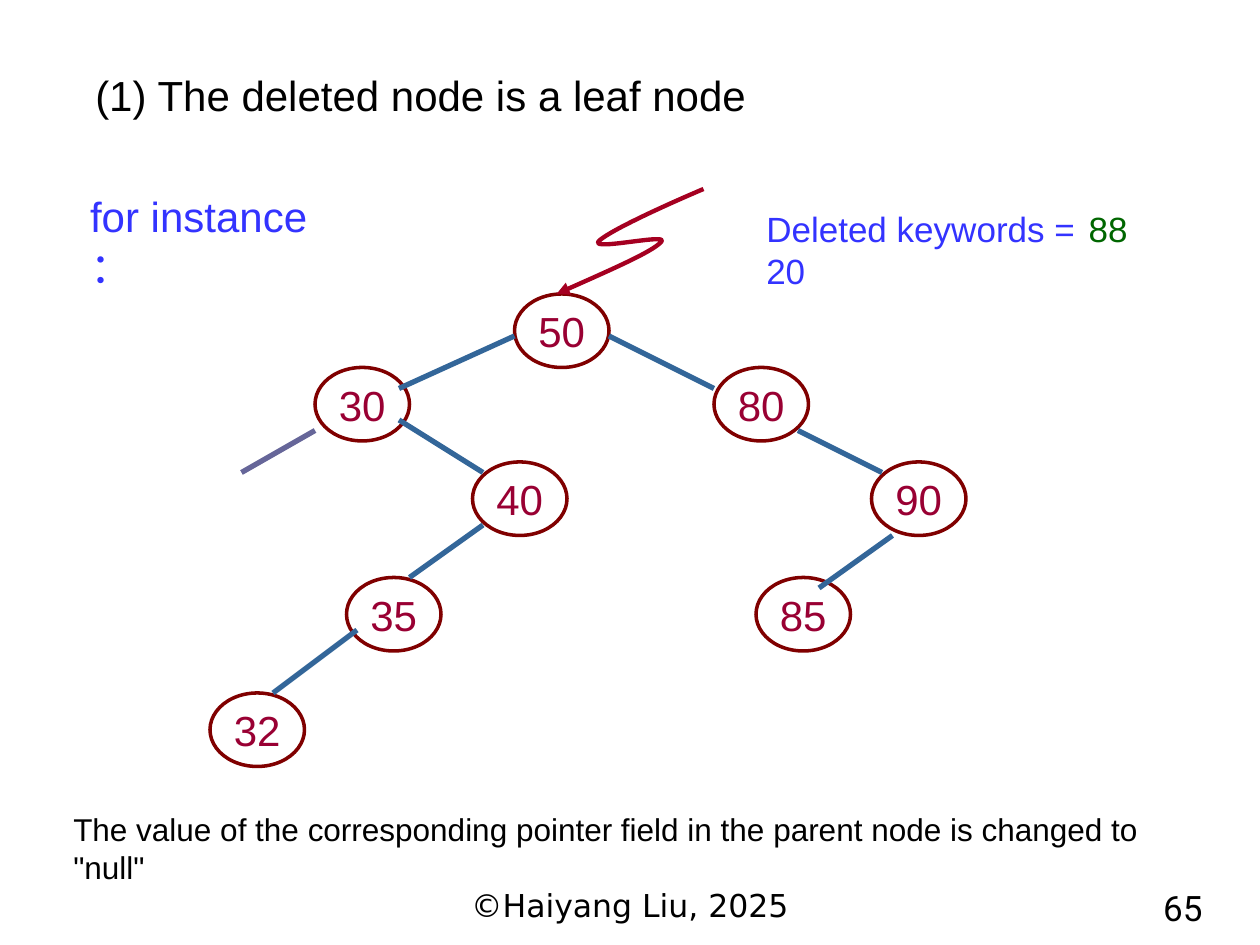
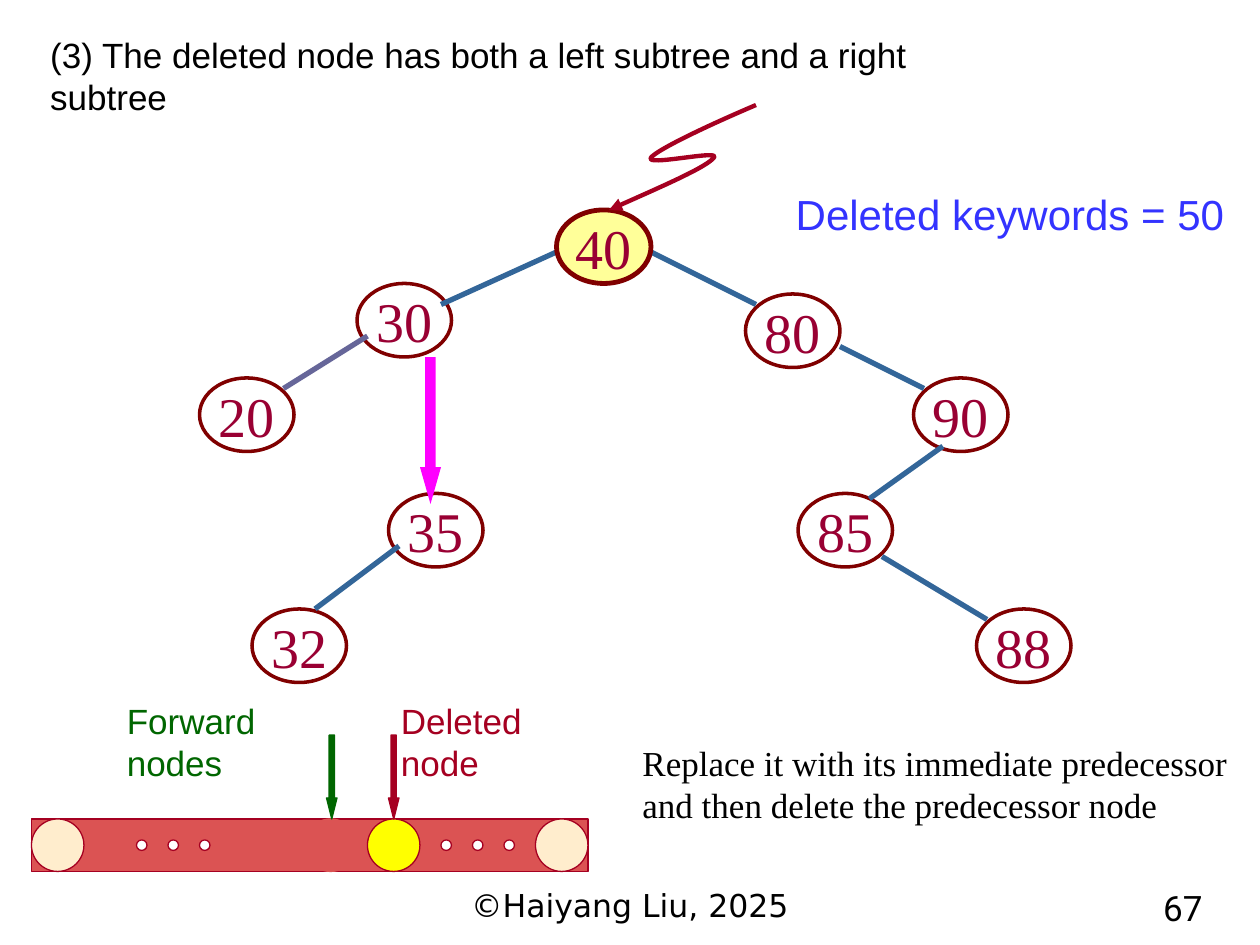
from lxml import etree
from pptx import Presentation
from pptx.dml.color import RGBColor
from pptx.enum.shapes import MSO_CONNECTOR, MSO_SHAPE
from pptx.enum.text import MSO_ANCHOR, PP_ALIGN
from pptx.oxml.ns import qn
from pptx.util import Pt

SCALE = 914400 // 120
OVAL, RECT, DOWN = MSO_SHAPE.OVAL, MSO_SHAPE.RECTANGLE, MSO_SHAPE.DOWN_ARROW
LINE = MSO_CONNECTOR.STRAIGHT
LEFT, MID, RIGHT = PP_ALIGN.LEFT, PP_ALIGN.CENTER, PP_ALIGN.RIGHT
TOP, HALF = MSO_ANCHOR.TOP, MSO_ANCHOR.MIDDLE

INK = {
    "black": "000000", "white": "FFFFFF", "blue": "3333FF", "green": "006600",
    "red": "A50021", "rim": "800000", "key": "990033", "edge": "336699",
    "dull": "666699", "pale": "FFFF99", "bar": "DB5353", "cream": "FFEDCD",
    "yellow": "FFFF00", "pink": "FF00FF",
}
SANS, SERIF = "Arial", "Times New Roman"
NODE = (90, 70)


def px(*nums):
    return [num * SCALE for num in nums]


def tint(name):
    return RGBColor.from_string(INK[name])


def write(shape, text, size=20, font=SANS, ink="black", align=LEFT,
          anchor=TOP, wrap=True):
    frame = shape.text_frame
    frame.word_wrap = wrap
    frame.vertical_anchor = anchor
    para = frame.paragraphs[0]
    para.alignment = align
    run = para.add_run()
    run.text = text
    run.font.size = Pt(size)
    run.font.name = font
    run.font.color.rgb = tint(ink)


def label(slide, box, text, **form):
    write(slide.shapes.add_textbox(*px(*box)), text, **form)


def paint(shape, fill=None, line=None, width=0.75):
    shape.shadow.inherit = False
    if fill:
        shape.fill.solid()
        shape.fill.fore_color.rgb = tint(fill)
    else:
        shape.fill.background()
    if line:
        shape.line.color.rgb = tint(line)
        shape.line.width = Pt(width)
    else:
        shape.line.fill.background()


def block(slide, kind, box, **look):
    shape = slide.shapes.add_shape(kind, *px(*box))
    paint(shape, **look)
    return shape


def node(slide, x, y, key, size, font, fill=None, width=2):
    oval = block(slide, OVAL, (x, y, *NODE), fill=fill, line="rim", width=width)
    write(oval, str(key), size=size, font=font, ink="key", align=MID,
          anchor=HALF, wrap=False)


def edge(slide, ends, ink="edge"):
    link = slide.shapes.add_connector(LINE, *px(*ends))
    link.line.color.rgb = tint(ink)
    link.line.width = Pt(3)
    etree.SubElement(link.element.spPr, qn("a:effectLst"))


def tree(slide, nodes, edges, dull, size, font):
    for key, (x, y) in nodes.items():
        node(slide, x, y, key, size, font)
    for ends in edges:
        edge(slide, ends)
    edge(slide, dull, "dull")


def arrow(slide, box, head, **look):
    shape = block(slide, DOWN, box, **look)
    shape.adjustments[0] = 0.5
    shape.adjustments[1] = head


def squiggle(slide, x, y):
    stops = [(40, 50), (100, 50), (0, 100)]
    bends = [((93, 20), (47, 42)), ((33, 59), (107, 42)), ((93, 59), (47, 79))]
    pen = slide.shapes.build_freeform(140, 0, scale=SCALE)
    pen.add_line_segments(stops, close=False)
    shape = pen.convert_to_shape(*px(x, y))
    paint(shape, line="red", width=2.5)
    for step, bend in zip(list(shape.element.iter(qn("a:lnTo"))), bends):
        step.tag = qn("a:cubicBezTo")
        for spot, (cx, cy) in enumerate(bend):
            point = etree.Element(qn("a:pt"), x=str(cx), y=str(cy))
            step.insert(spot, point)
    tail = etree.SubElement(shape.line._get_or_add_ln(), qn("a:tailEnd"))
    tail.set("type", "triangle")


def footer(slide, page):
    label(slide, (410, 838, 380, 47), "©Haiyang Liu, 2025", size=18,
          font="DejaVu Sans", align=MID)
    label(slide, (973, 838, 184, 47), str(page), font="Roboto", align=RIGHT)


def leaf(slide):
    nodes = {50: (490, 280), 30: (300, 350), 80: (680, 350), 90: (830, 440),
             85: (720, 550), 40: (450, 440), 35: (330, 550), 32: (200, 660)}
    edges = [(490, 320, 380, 370), (580, 320, 680, 370), (380, 400, 460, 450),
             (460, 500, 390, 550), (760, 410, 840, 450), (850, 510, 780, 560),
             (340, 600, 260, 660)]
    tree(slide, nodes, edges, (300, 410, 230, 450), 24, SANS)
    label(slide, (79, 60, 660, 60), "(1) The deleted node is a leaf node", size=24)
    label(slide, (74, 176, 260, 60), "for instance ：", size=24, ink="blue")
    label(slide, (718, 192, 360, 53), "Deleted keywords = 20", ink="blue")
    label(slide, (1025, 192, 70, 53), "88", ink="green")
    label(slide, (58, 766, 1111, 84),
          "The value of the corresponding pointer field in the parent node "
          'is changed to "null"', size=18)
    squiggle(slide, 530, 180)


def strip(slide):
    block(slide, RECT, (30, 780, 530, 50), fill="bar", line="red")
    for x, fill, line in ((30, "cream", "red"), (510, "cream", "red"),
                          (350, "yellow", "red"), (290, "bar", "bar")):
        block(slide, OVAL, (x, 780, 50, 50), fill=fill, line=line)
    for start in (130, 420):
        for num in range(3):
            block(slide, OVAL, (start + 30 * num, 800, 10, 10),
                  fill="white", line="red")
    for x, ink in ((370, "red"), (311, "green")):
        arrow(slide, (x, 700, 10, 80), 2, fill=ink, line=ink)
    label(slide, (370, 660, 215, 53), "Deleted node", ink="red")
    label(slide, (109, 660, 235, 53), "Forward nodes", ink="green")


def both(slide):
    nodes = {30: (340, 270), 80: (710, 280), 20: (190, 360), 90: (870, 360),
             85: (760, 470), 35: (370, 470), 88: (930, 580), 32: (240, 580)}
    edges = [(530, 240, 420, 290), (620, 240, 720, 290), (800, 330, 880, 370),
             (898, 425, 828, 475), (840, 530, 940, 590), (380, 520, 300, 580)]
    tree(slide, nodes, edges, (350, 320, 270, 370), 32, SERIF)
    node(slide, 530, 200, 40, 32, SERIF, fill="pale", width=2.75)
    label(slide, (36, 26, 950, 53),
          "(3) The deleted node has both a left subtree and a right subtree")
    strip(slide)
    label(slide, (600, 700, 592, 92),
          "Replace it with its immediate predecessor and then delete "
          "the predecessor node", font=SERIF)
    arrow(slide, (400, 340, 20, 140), 1.75, fill="pink")
    squiggle(slide, 580, 100)
    label(slide, (746, 174, 440, 60), "Deleted keywords = 50", size=24, ink="blue")


def main():
    deck = Presentation()
    deck.slide_width, deck.slide_height = px(1200, 900)
    for draw, page in ((leaf, 65), (both, 67)):
        slide = deck.slides.add_slide(deck.slide_layouts[6])
        draw(slide)
        footer(slide, page)
    deck.save("out.pptx")


if __name__ == "__main__":
    main()
